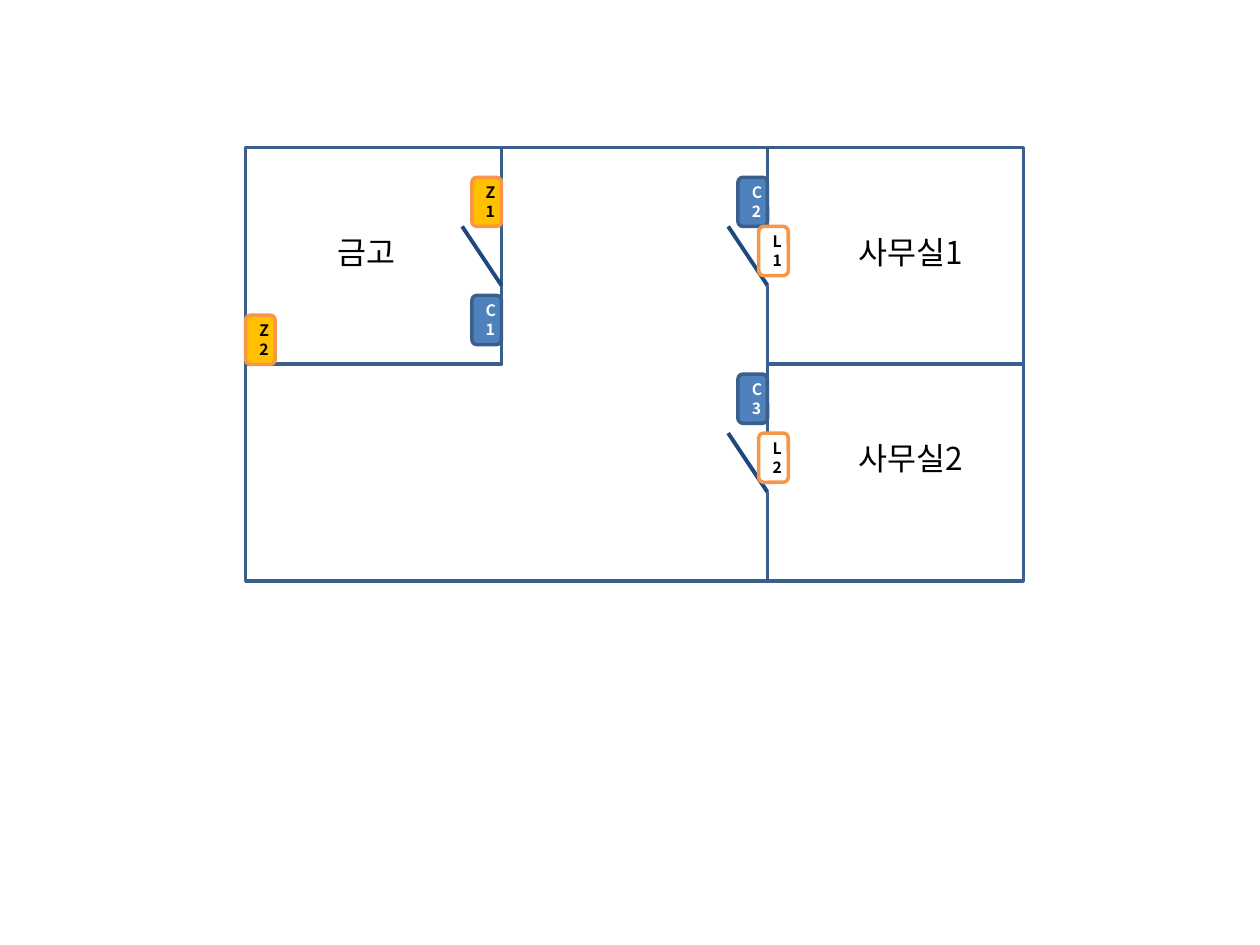
from lxml import etree
from pptx import Presentation
from pptx.dml.color import RGBColor
from pptx.enum import shapes, text
from pptx.oxml import ns
from pptx.util import Pt

FONT = "Noto Sans CJK KR"
WALL = RGBColor(0x3A, 0x5F, 0x8C)
DOOR = RGBColor(0x1F, 0x49, 0x7D)
BLUE = RGBColor(0x4F, 0x81, 0xBD)
AMBER = RGBColor(0xFF, 0xC0, 0x00)
ORANGE = RGBColor(0xF7, 0x96, 0x46)
WHITE = RGBColor(0xFF, 0xFF, 0xFF)
BLACK = RGBColor(0, 0, 0)

LEFT, TOP = 140.4, 84.4
ROOM_W, ROOM_H = 146.2, 123.8
PLAN_W, PLAN_H = 444.4, 2 * ROOM_H
VAULT_RIGHT = LEFT + ROOM_W
OFFICE_LEFT = LEFT + PLAN_W - ROOM_W
DOOR_W, DOOR_H = 22.5, 33.75
DOOR_1, DOOR_2 = 129.4, 247.5
TAG_W, TAG_H = 16.9, 28.1

deck = Presentation()
deck.slide_width, deck.slide_height = Pt(720), Pt(540)
page = deck.slides.add_slide(deck.slide_layouts[6])


def add_block(kind, left, top, width, height, fill=None, line=None):
    """Add a shadowless shape; a missing fill or line is left empty."""
    block = page.shapes.add_shape(kind, Pt(left), Pt(top), Pt(width), Pt(height))
    block.shadow.inherit = False
    if fill is None:
        block.fill.background()
    else:
        block.fill.solid()
        block.fill.fore_color.rgb = fill
    if line is None:
        block.line.fill.background()
    else:
        block.line.color.rgb = line
        block.line.width = Pt(2)
    return block


def write(box, words, size, color, bold=False):
    box.text_frame.text = words
    span = box.text_frame.paragraphs[0].runs[0]
    span.font.name, span.font.size, span.font.bold = FONT, Pt(size), bold
    span.font.color.rgb = color
    east_asian = etree.SubElement(span.font._element, ns.qn("a:ea"))
    east_asian.set("typeface", FONT)


# Outer walls, the vault and the two offices
for left, top, width, height in (
    (LEFT, TOP, PLAN_W, PLAN_H),
    (LEFT, TOP, ROOM_W, ROOM_H),
    (OFFICE_LEFT, TOP, ROOM_W, ROOM_H),
    (OFFICE_LEFT, TOP + ROOM_H, ROOM_W, ROOM_H),
):
    add_block(shapes.MSO_SHAPE.RECTANGLE, left, top, width, height, line=WALL)

# Room names
for words, left, top, width in (
    ("금고", 185.8, DOOR_1, 51.1),
    ("사무실1", 483.8, DOOR_1, 79.2),
    ("사무실2", 483.8, DOOR_2, 79.2),
):
    name = page.shapes.add_textbox(Pt(left), Pt(top), Pt(width), Pt(29))
    name.text_frame.word_wrap = False
    name.text_frame.auto_size = text.MSO_AUTO_SIZE.SHAPE_TO_FIT_TEXT
    write(name, words, 18, BLACK)

# Openings in the office walls
for top in (DOOR_1, DOOR_2):
    add_block(shapes.MSO_SHAPE.RECTANGLE, OFFICE_LEFT - 5, top, 11.3, DOOR_H, fill=WHITE)

# Door leaves, hinged at the bottom of each opening
for hinge, top in ((VAULT_RIGHT, DOOR_1), (OFFICE_LEFT, DOOR_1), (OFFICE_LEFT, DOOR_2)):
    leaf = page.shapes.add_connector(
        shapes.MSO_CONNECTOR.STRAIGHT,
        Pt(hinge), Pt(top + DOOR_H), Pt(hinge - DOOR_W), Pt(top),
    )
    leaf.line.color.rgb = DOOR
    leaf.line.width = Pt(2.25)
    etree.SubElement(leaf._element.spPr, ns.qn("a:effectLst"))

# Device tags: fill, line and text colour follow the letter
STYLES = {
    "C": (BLUE, WALL, WHITE),
    "Z": (AMBER, ORANGE, BLACK),
    "L": (WHITE, ORANGE, BLACK),
}
for label, left, top in (
    ("C1", VAULT_RIGHT - TAG_W, 168.8),
    ("Z2", LEFT, TOP + ROOM_H - TAG_H),
    ("Z1", VAULT_RIGHT - TAG_W, DOOR_1 - TAG_H),
    ("C2", OFFICE_LEFT - TAG_W, DOOR_1 - TAG_H),
    ("C3", OFFICE_LEFT - TAG_W, 213.8),
    ("L2", OFFICE_LEFT - 5, DOOR_2),
    ("L1", OFFICE_LEFT - 5, DOOR_1),
):
    fill, line, color = STYLES[label[0]]
    tag = add_block(shapes.MSO_SHAPE.ROUNDED_RECTANGLE, left, top, TAG_W, TAG_H, fill, line)
    tag.text_frame.word_wrap = True
    tag.text_frame.vertical_anchor = text.MSO_ANCHOR.MIDDLE
    write(tag, label, 9, color, bold=True)
    tag.text_frame.paragraphs[0].alignment = text.PP_ALIGN.CENTER

deck.save("out.pptx")
